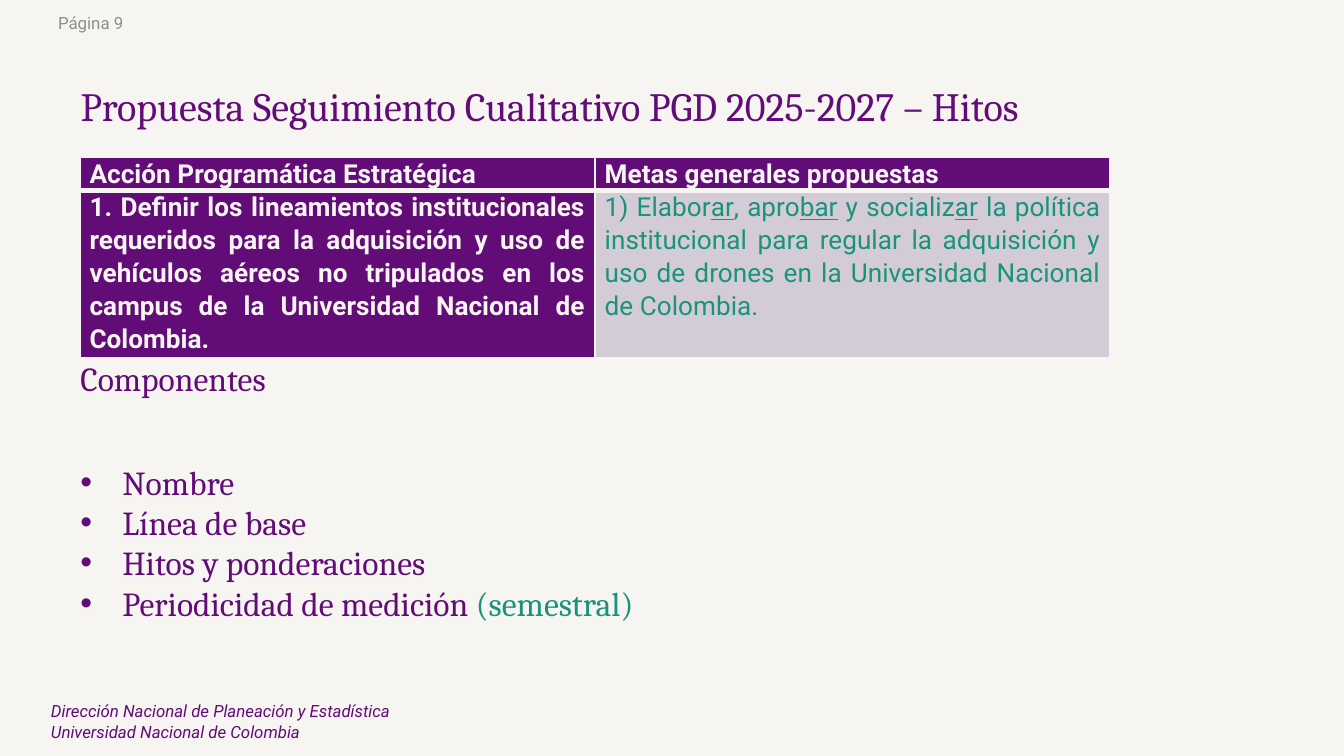
import pptx
import pptx.dml.color
import pptx.enum.text
import pptx.oxml
import pptx.oxml.ns
import pptx.util

SCALE = 9525
PURPLE, GREEN, CREAM, LILAC, GREY = "620C78", "19937C", "F7F5F2", "D3CCD6", "8E8E8F"
SERIF = {"name": "Cambria", "size": pptx.util.Pt(18), "color": PURPLE}
SMALL = {"name": "Roboto", "size": pptx.util.Pt(9)}
CELL = {"name": "Roboto", "size": pptx.util.Pt(14)}
HEADING = {**CELL, "bold": True, "color": CREAM}
GOAL = {**CELL, "bold": False, "color": GREEN}
STRESSED = {**GOAL, "underline": True}


def px(length):
    """Turn whole px, 96 to the inch, into EMU."""
    return pptx.util.Emu(length * SCALE)


def rgb(value):
    """Turn a hex string into a colour."""
    return pptx.dml.color.RGBColor.from_string(value)


def apply(target, values):
    """Set the attributes of an object from a dict."""
    for name, value in values.items():
        if name == "color":
            target.color.rgb = rgb(value)
        else:
            setattr(target, name, value)


def write(frame, paragraphs, layout=None):
    """Write paragraphs, each a list of (text, font values) pairs."""
    for index, runs in enumerate(paragraphs):
        paragraph = frame.add_paragraph() if index else frame.paragraphs[0]
        apply(paragraph, layout or {})
        for text, values in runs:
            run = paragraph.add_run()
            run.text = text
            apply(run.font, values)


def add_text(slide, box, paragraphs, anchor=pptx.enum.text.MSO_ANCHOR.TOP):
    """Place a wrapped text box and return its frame."""
    frame = slide.shapes.add_textbox(*map(px, box)).text_frame
    apply(frame, {"word_wrap": True, "vertical_anchor": anchor})
    write(frame, paragraphs)
    return frame


def add_title(slide, box, text):
    """Place and format the title placeholder."""
    title = slide.shapes.title
    apply(title, dict(zip(("left", "top", "width", "height"), map(px, box))))
    apply(title.text_frame, {
        "word_wrap": True,
        "auto_size": pptx.enum.text.MSO_AUTO_SIZE.NONE,
        "vertical_anchor": pptx.enum.text.MSO_ANCHOR.MIDDLE,
    })
    write(title.text_frame, [[(text, {**SERIF, "size": pptx.util.Pt(21.5)})]],
          {"alignment": pptx.enum.text.PP_ALIGN.LEFT})


def add_borders(cell, widths):
    """Give a cell solid borders, widths in points by side."""
    properties = cell._tc.get_or_add_tcPr()
    for index, (side, width) in enumerate(widths.items()):
        properties.insert(index, pptx.oxml.parse_xml(
            f'<a:ln{side} {pptx.oxml.ns.nsdecls("a")} w="{pptx.util.Pt(width)}">'
            f'<a:solidFill><a:srgbClr val="{CREAM}"/></a:solidFill></a:ln{side}>'))


def add_goals_table(slide, box, row_heights, rows):
    """Place the table of actions and goals."""
    table = slide.shapes.add_table(len(rows), len(rows[0]), *map(px, box)).table
    apply(table, {"first_row": True, "horz_banding": False})
    for column in table.columns:
        column.width = px(box[2] // len(rows[0]))
    for row_index, cells in enumerate(rows):
        table.rows[row_index].height = px(row_heights[row_index])
        for column_index, (fill, runs) in enumerate(cells):
            cell = table.cell(row_index, column_index)
            apply(cell, {"margin_left": px(7), "margin_right": px(7),
                         "margin_top": 0, "margin_bottom": 0})
            cell.fill.solid()
            cell.fill.fore_color.rgb = rgb(fill)
            write(cell.text_frame, [runs], {
                "alignment": pptx.enum.text.PP_ALIGN.JUSTIFY, "line_spacing": 1.07})
            add_borders(cell, {"L": 1, "R": 1, "T": 1, "B": 1 if row_index else 3})


def add_bullets(slide, box, items):
    """Place a bulleted list with hanging indents."""
    frame = add_text(slide, box, items)
    for paragraph in frame.paragraphs:
        properties = paragraph._p.get_or_add_pPr()
        properties.set("marL", str(px(30)))
        properties.set("indent", str(px(-30)))
        for tag, value in (("buFont", 'typeface="Arial"'), ("buChar", 'char="•"')):
            properties.append(pptx.oxml.parse_xml(
                f'<a:{tag} {pptx.oxml.ns.nsdecls("a")} {value}/>'))


def build_milestones_slide(presentation):
    """Build the slide on milestones."""
    slide = presentation.slides.add_slide(presentation.slide_layouts[5])
    slide.background.fill.solid()
    slide.background.fill.fore_color.rgb = rgb(CREAM)
    add_text(slide, (32, 2, 224, 29), [[("Página 9", {**SMALL, "color": GREY})]],
             pptx.enum.text.MSO_ANCHOR.MIDDLE)
    add_title(slide, (48, 39, 864, 73),
              "Propuesta Seguimiento Cualitativo PGD 2025-2027 – Hitos")
    goal = [("1) Elabor", GOAL), ("ar", STRESSED), (", apro", GOAL),
            ("bar", STRESSED), (" y socializ", GOAL), ("ar", STRESSED),
            (" la política institucional para regular la adquisición y uso de "
             "drones en la Universidad Nacional de Colombia.", GOAL)]
    action = ("1. Definir los lineamientos institucionales requeridos para la "
              "adquisición y uso de vehículos aéreos no tripulados en los campus "
              "de la Universidad Nacional de Colombia.")
    add_goals_table(slide, (57, 112, 736, 118), (21, 88), [
        [(PURPLE, [("Acción Programática Estratégica", HEADING)]),
         (PURPLE, [("Metas generales propuestas", HEADING)])],
        [(PURPLE, [(action, HEADING)]), (LILAC, goal)],
    ])
    add_text(slide, (48, 251, 480, 38), [[("Componentes", SERIF)]])
    add_bullets(slide, (48, 325, 480, 126), [
        [("Nombre", SERIF)],
        [("Línea de base", SERIF)],
        [("Hitos y ponderaciones", SERIF)],
        [("Periodicidad de medición ", SERIF),
         ("(semestral)", {**SERIF, "color": GREEN})],
    ])
    footer = {**SMALL, "italic": True, "color": PURPLE}
    add_text(slide, (27, 496, 327, 38), [
        [("Dirección Nacional de Planeación y Estadística", footer)],
        [("Universidad Nacional de Colombia", footer)],
    ])


def main():
    """Build and save the presentation."""
    presentation = pptx.Presentation()
    apply(presentation, {"slide_width": px(960), "slide_height": px(540)})
    build_milestones_slide(presentation)
    presentation.save("out.pptx")


if __name__ == "__main__":
    main()
